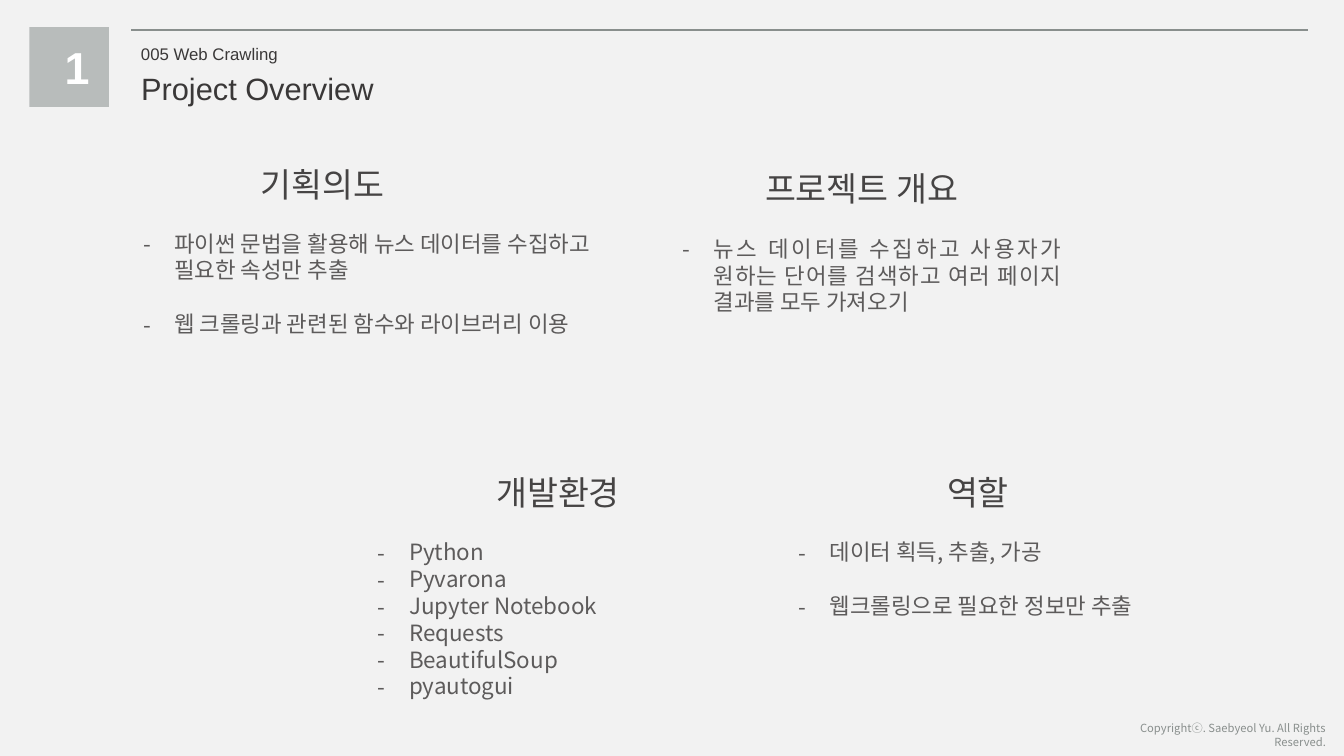
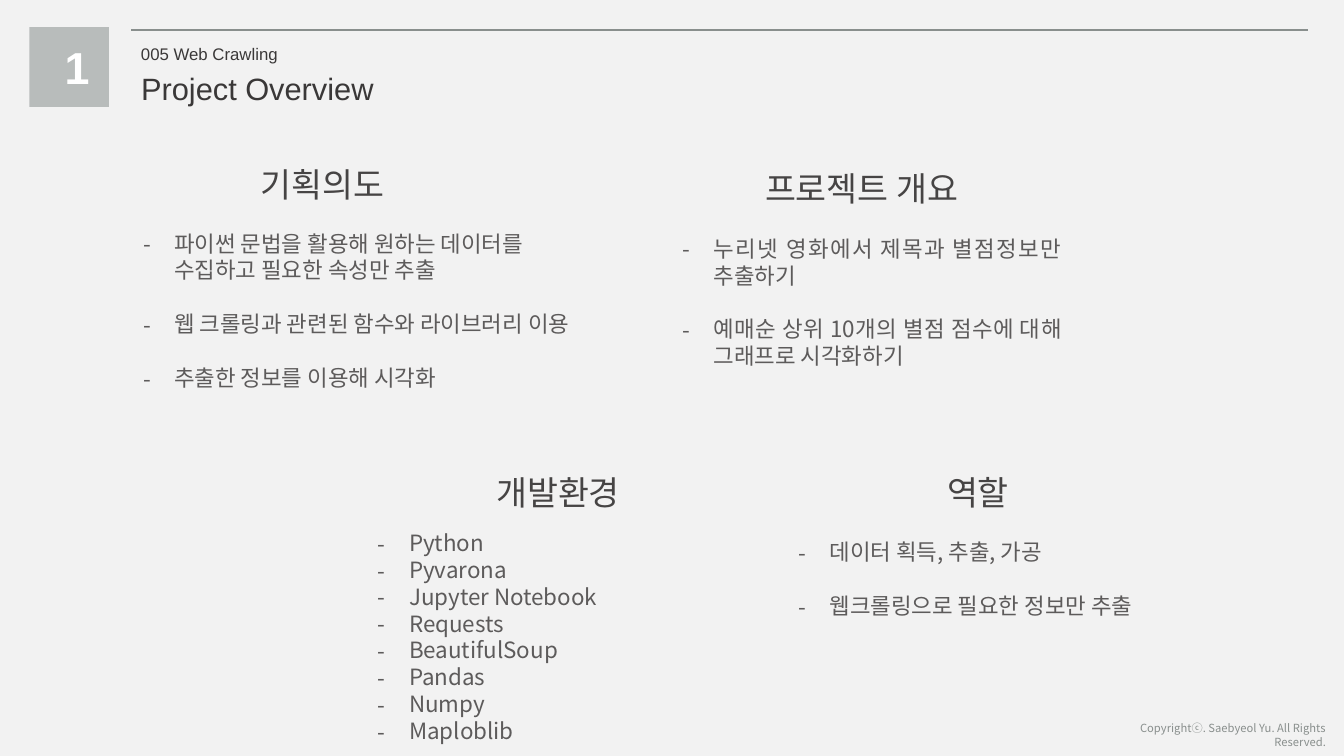
from lxml import etree
from pptx import Presentation
from pptx.dml.color import RGBColor
from pptx.enum import shapes, text
from pptx.oxml import ns
from pptx.util import Inches, Pt

COLORS = {
    "paper": "F2F2F2", "square": "B8BCBB", "muted": "898F8D", "white": "FFFFFF",
    "title": "3A3838", "heading": "464444", "body": "5D5B5B",
}
LATIN, KOREAN = "Arial", "Noto Sans CJK KR"
LINE_RATIO = 1.2
BODY_SIZE = 16
LEFT, CENTER, RIGHT, JUSTIFY = (
    text.PP_ALIGN.LEFT, text.PP_ALIGN.CENTER, text.PP_ALIGN.RIGHT, text.PP_ALIGN.JUSTIFY)

# Content shared by all slides
NUMBER, TOPIC, TITLE = "1", "005 Web Crawling", "Project Overview"
COPYRIGHT = "Copyrightⓒ. Saebyeol Yu. All Rights Reserved."

# Section: heading, heading box (left, top, width), body left, alignment, blank line between items
SECTIONS = {
    "intent": ("기획의도", (2.42, 1.58, 1.55), 1.32, LEFT, True),
    "overview": ("프로젝트 개요", (7.39, 1.62, 2.31), 6.67, JUSTIFY, True),
    "tools": ("개발환경", (4.76, 4.63, 1.55), 3.65, LEFT, False),
    "role": ("역할", (9.26, 4.63, 0.88), 7.82, LEFT, True),
}
COMMON_TOOLS = ["Python", "Pyvarona", "Jupyter Notebook", "Requests", "BeautifulSoup"]
ROLE = (5.29, 4.03, 1.45, ["데이터 획득, 추출, 가공", "웹크롤링으로 필요한 정보만 추출"])

# Body of each section: top, width, height, items
PAGES = [
    {
        "intent": (2.23, 4.75, 1.18, [
            "파이썬 문법을 활용해 뉴스 데이터를 수집하고 필요한 속성만 추출",
            "웹 크롤링과 관련된 함수와 라이브러리 이용"]),
        "overview": (2.28, 3.96, 1.18, [
            "뉴스 데이터를 수집하고 사용자가 원하는 단어를 검색하고 "
            "여러 페이지 결과를 모두 가져오기"]),
        "tools": (5.29, 3.73, 1.72, COMMON_TOOLS + ["pyautogui"]),
        "role": ROLE,
    },
    {
        "intent": (2.23, 4.49, 1.99, [
            "파이썬 문법을 활용해 원하는 데이터를 수집하고 필요한 속성만 추출",
            "웹 크롤링과 관련된 함수와 라이브러리 이용",
            "추출한 정보를 이용해 시각화"]),
        "overview": (2.28, 3.96, 1.45, [
            "누리넷 영화에서 제목과 별점정보만 추출하기",
            "예매순 상위 10개의 별점 점수에 대해 그래프로 시각화하기"]),
        "tools": (5.2, 3.73, 2.25, COMMON_TOOLS + ["Pandas", "Numpy", "Maploblib"]),
        "role": ROLE,
    },
]


def color(name):
    return RGBColor.from_string(COLORS[name])


def style(para, size, ink, font=LATIN, align=LEFT, bold=False):
    para.alignment = align
    if font == KOREAN:
        para.line_spacing = Pt(size * LINE_RATIO)
    for span in para.runs:
        span.font.name, span.font.size, span.font.bold = font, Pt(size), bold
        span.font.color.rgb = color(ink)
        east_asian = etree.SubElement(span.font._element, ns.qn("a:ea"))
        east_asian.set("typeface", font)


def add_text(page, place, content, size, ink, font=LATIN, align=LEFT, wrap=False):
    box = page.shapes.add_textbox(*map(Inches, place))
    frame = box.text_frame
    frame.word_wrap = wrap
    frame.text = content
    style(frame.paragraphs[0], size, ink, font, align)


def add_bullet(para):
    props = para._p.get_or_add_pPr()
    props.set("marL", str(Inches(0.31)))
    props.set("indent", str(-Inches(0.31)))
    etree.SubElement(props, ns.qn("a:buFont")).set("typeface", KOREAN)
    etree.SubElement(props, ns.qn("a:buChar")).set("char", "-")


def add_list(page, place, items, align, spaced):
    frame = page.shapes.add_textbox(*map(Inches, place)).text_frame
    frame.word_wrap = True
    for index, item in enumerate(items):
        para = frame.add_paragraph() if index else frame.paragraphs[0]
        para.text = item
        add_bullet(para)
        if index and spaced:
            para.space_before = Pt(BODY_SIZE * LINE_RATIO)
        style(para, BODY_SIZE, "body", KOREAN, align)


def add_frame(page):
    # Numbered square
    square = page.shapes.add_shape(
        shapes.MSO_SHAPE.RECTANGLE, *map(Inches, (0.29, 0.27, 0.79, 0.79)))
    square.shadow.inherit = False
    square.fill.solid()
    square.fill.fore_color.rgb = color("square")
    square.line.fill.background()
    frame = square.text_frame
    frame.margin_left, frame.margin_right = Inches(0.35), 0
    frame.vertical_anchor = text.MSO_ANCHOR.MIDDLE
    frame.text = NUMBER
    style(frame.paragraphs[0], 32, "white", bold=True)

    # Top rule
    rule = page.shapes.add_connector(
        shapes.MSO_CONNECTOR.STRAIGHT, *map(Inches, (1.3, 0.3, 12.97, 0.3)))
    rule.line.color.rgb = color("muted")
    rule.line.width = Pt(1.5)
    etree.SubElement(rule._element.spPr, ns.qn("a:effectLst"))

    # Topic, title and footer
    add_text(page, (1.3, 0.38, 1.57, 0.3), TOPIC, 12, "title")
    title = page.shapes.title
    title.left, title.top, title.width, title.height = map(Inches, (1.3, 0.64, 6, 0.47))
    frame = title.text_frame
    frame.text = TITLE
    frame.auto_size = text.MSO_AUTO_SIZE.NONE
    frame.vertical_anchor = text.MSO_ANCHOR.TOP
    style(frame.paragraphs[0], 22, "title")
    add_text(page, (10.8, 7.11, 2.45, 0.24), COPYRIGHT, 8, "muted", KOREAN, RIGHT, wrap=True)


def main():
    deck = Presentation()
    deck.slide_width, deck.slide_height = Inches(13.33), Inches(7.5)
    background = deck.slide_master.background.fill
    background.solid()
    background.fore_color.rgb = color("paper")

    for bodies in PAGES:
        page = deck.slides.add_slide(deck.slide_layouts.get_by_name("Title Only"))
        add_frame(page)
        for key, (heading, heading_place, left, align, spaced) in SECTIONS.items():
            top, width, height, items = bodies[key]
            add_text(page, (*heading_place, 0.5), heading, 24, "heading", KOREAN, CENTER)
            add_list(page, (left, top, width, height), items, align, spaced)
    deck.save("out.pptx")


if __name__ == "__main__":
    main()
